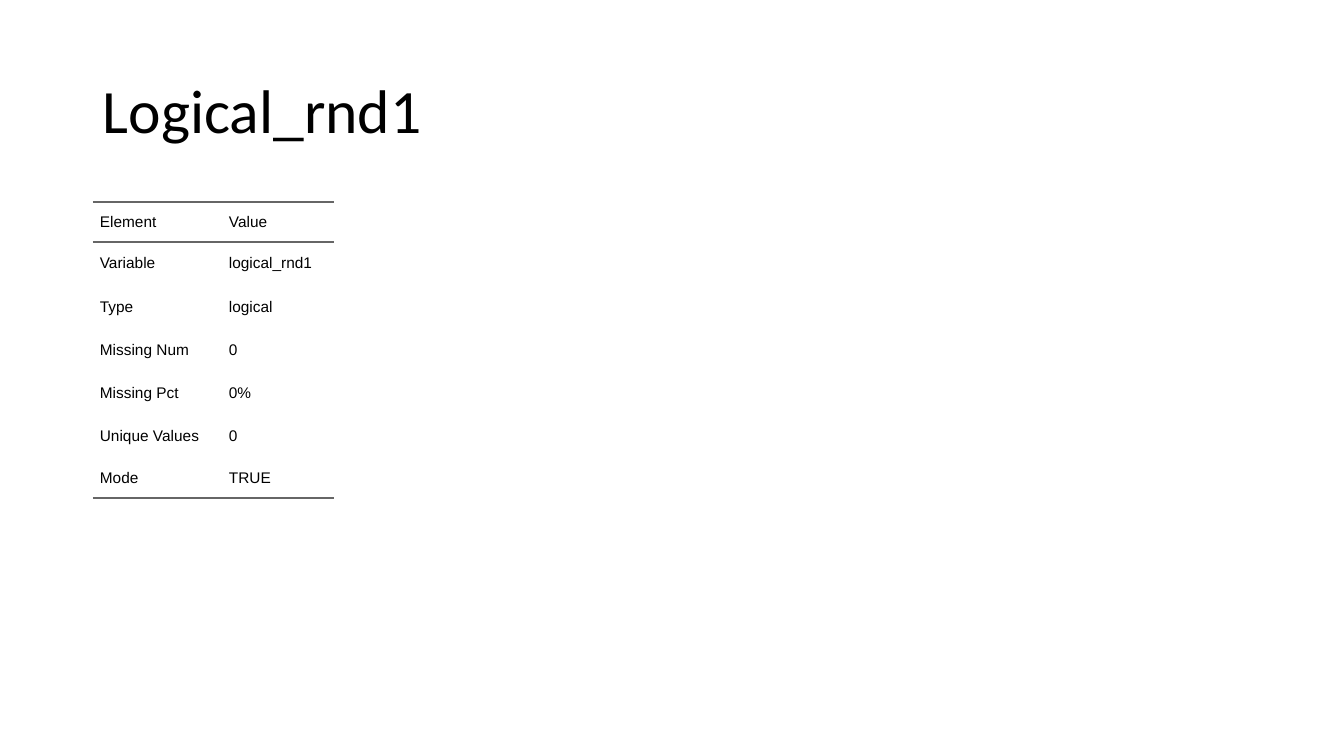
from lxml.etree import SubElement
from pptx import Presentation
from pptx.dml.color import RGBColor
from pptx.enum.text import MSO_ANCHOR, PP_ALIGN
from pptx.oxml import parse_xml
from pptx.oxml.ns import nsdecls, qn
from pptx.util import Inches, Pt

TITLE = "Logical_rnd1"
ROWS = [
    ("Element", "Value"),
    ("Variable", "logical_rnd1"),
    ("Type", "logical"),
    ("Missing Num", "0"),
    ("Missing Pct", "0%"),
    ("Unique Values", "0"),
    ("Mode", "TRUE"),
]
COLUMN_WIDTHS = [1.28, 1.11]
ROW_HEIGHTS = [0.4, 0.43, 0.43, 0.43, 0.43, 0.42, 0.4]
RULED_SIDES = {0: ("lnT", "lnB"), len(ROWS) - 1: ("lnB",)}
LEFT = 0.92
PADDING = 0.07
PLAIN_STYLE = "{2D5ABB26-0587-4C30-8999-92F81FD0307C}"
BLACK = "000000"
RULE_COLOR = "666666"


def format_font(paragraph, name, size, color):
    for run in paragraph.runs:
        run.font.name = name
        run.font.size = Pt(size)
        run.font.bold = False
        run.font.color.rgb = RGBColor.from_string(color)


def add_rule(cell, side):
    properties = cell._tc.get_or_add_tcPr()
    rule = parse_xml(f'<a:{side} {nsdecls("a")} w="{Pt(1.5)}"/>')
    fill = SubElement(rule, qn("a:solidFill"))
    SubElement(fill, qn("a:srgbClr"), val=RULE_COLOR)
    properties.append(rule)


def fill_cell(cell, text, ruled_sides):
    cell.text_frame.text = text
    cell.vertical_anchor = MSO_ANCHOR.MIDDLE
    cell.margin_left = cell.margin_right = 0
    cell.margin_top = cell.margin_bottom = Inches(PADDING)
    paragraph = cell.text_frame.paragraphs[0]
    paragraph.alignment = PP_ALIGN.LEFT
    paragraph.space_before = paragraph.space_after = Pt(5)
    indents = paragraph._p.get_or_add_pPr()
    for indent in ("marL", "marR"):
        indents.set(indent, str(Inches(PADDING)))
    format_font(paragraph, "Arial", 11, BLACK)
    for side in ruled_sides:
        add_rule(cell, side)
    cell.fill.background()


def add_title(slide):
    title = slide.shapes.title
    title.left, title.top = Inches(LEFT), Inches(0.4)
    title.width, title.height = Inches(11.5), Inches(1.45)
    title.text_frame.text = TITLE
    title.text_frame.vertical_anchor = MSO_ANCHOR.MIDDLE
    paragraph = title.text_frame.paragraphs[0]
    paragraph.alignment = PP_ALIGN.LEFT
    paragraph.line_spacing = 0.9
    format_font(paragraph, "Calibri", 44, BLACK)


def add_summary_table(slide):
    table = slide.shapes.add_table(
        len(ROWS), len(COLUMN_WIDTHS), Inches(LEFT), Inches(2),
        Inches(sum(COLUMN_WIDTHS)), Inches(sum(ROW_HEIGHTS)),
    ).table
    table.first_row = table.horz_banding = False
    table._tbl.tblPr.find(qn("a:tableStyleId")).text = PLAIN_STYLE
    for column, width in zip(table.columns, COLUMN_WIDTHS):
        column.width = Inches(width)
    for row, height in zip(table.rows, ROW_HEIGHTS):
        row.height = Inches(height)
    for index, texts in enumerate(ROWS):
        for cell, text in zip(table.rows[index].cells, texts):
            fill_cell(cell, text, RULED_SIDES.get(index, ()))


def main():
    presentation = Presentation()
    presentation.slide_width = Inches(13.33)
    presentation.slide_height = Inches(7.5)
    slide = presentation.slides.add_slide(presentation.slide_layouts[5])
    add_title(slide)
    add_summary_table(slide)
    presentation.save("out.pptx")


if __name__ == "__main__":
    main()
